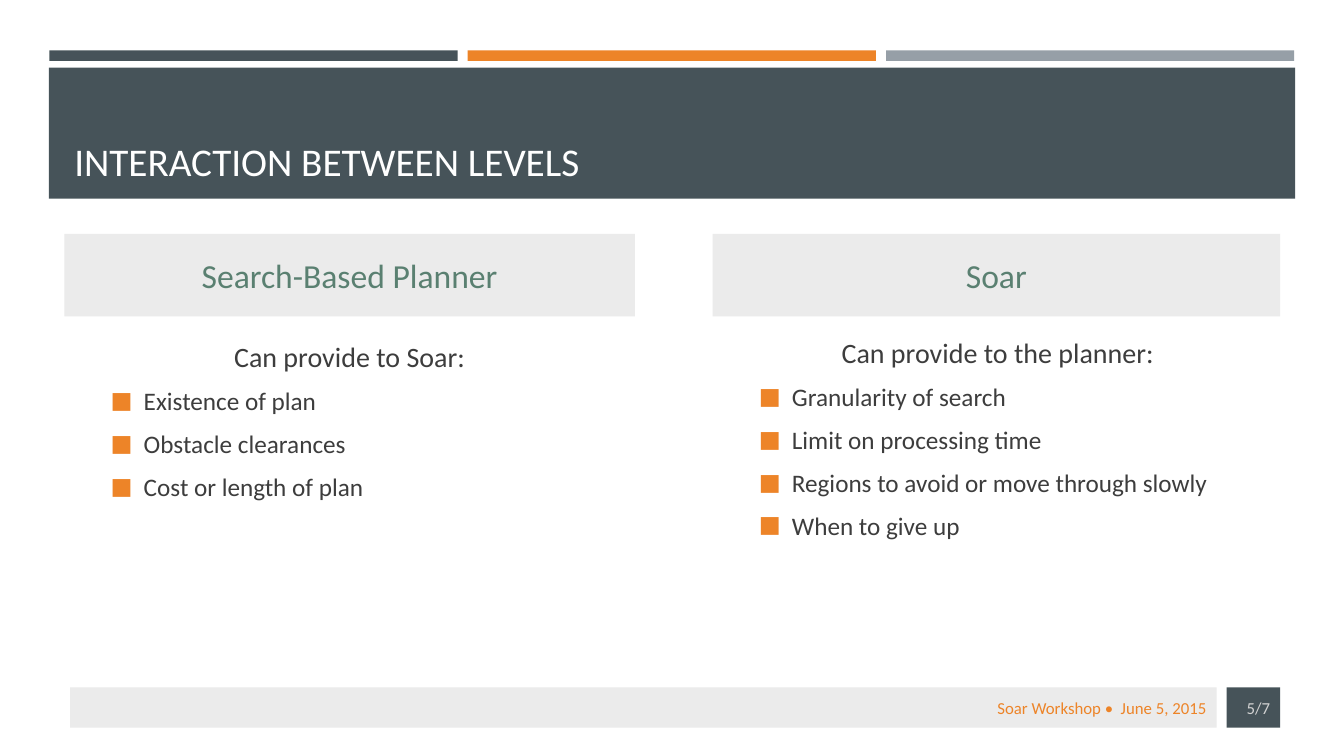
from lxml import etree
from pptx import Presentation
from pptx import util as u
from pptx.dml import color
from pptx.enum import shapes, text
from pptx.oxml import ns

FONT = "Calibri"
SLATE, ORANGE, GREY = "465359", "ED8428", "969FA7"
PALE, GREEN, INK, SILVER, WHITE = "EBEBEB", "5A8071", "3D3D3D", "D3D3D3", "FFFFFF"
LEFT, CENTER, RIGHT = text.PP_ALIGN.LEFT, text.PP_ALIGN.CENTER, text.PP_ALIGN.RIGHT

BAR_LEFT, BAR_PITCH, BAR_WIDTH = 35.28, 298.8, 291.6
FOOTER_TOP, FOOTER_HEIGHT = 491, 28.8
HEADING_TOP, HEADING_HEIGHT = 167, 59
COLUMNS = [
    # left, heading width, list top, heading, lead, points
    (46, 407.5, 238.8, "Search-Based Planner", "Can provide to Soar:",
     ["Existence of plan", "Obstacle clearances", "Cost or length of plan"]),
    (509, 405.4, 235.8, "Soar", "Can provide to the planner:",
     ["Granularity of search", "Limit on processing time",
      "Regions to avoid or move through slowly", "When to give up"]),
]


def rgb(value):
    return color.RGBColor.from_string(value)


def style_paragraph(paragraph, size, ink, align):
    paragraph.alignment = align
    for run in paragraph.runs:
        run.font.name = FONT
        run.font.size = u.Pt(size)
        run.font.color.rgb = rgb(ink)


def add_block(slide, box, fill, words="", size=12, ink=WHITE, align=CENTER):
    """Add a filled rectangle, with one line of text if words are given."""
    shape = slide.shapes.add_shape(
        shapes.MSO_SHAPE.RECTANGLE, *[u.Pt(length) for length in box])
    shape.shadow.inherit = False
    shape.fill.solid()
    shape.fill.fore_color.rgb = rgb(fill)
    shape.line.fill.background()
    if words:
        frame = shape.text_frame
        frame.text = words
        frame.vertical_anchor = text.MSO_ANCHOR.MIDDLE
        style_paragraph(frame.paragraphs[0], size, ink, align)


def add_text_frame(slide, box, anchor):
    shape = slide.shapes.add_textbox(*[u.Pt(length) for length in box])
    shape.text_frame.word_wrap = True
    shape.text_frame.vertical_anchor = anchor
    return shape.text_frame


def add_bullet(paragraph):
    properties = paragraph._p.get_or_add_pPr()
    properties.set("marL", str(u.Pt(49.6)))
    properties.set("indent", str(u.Pt(-23.6)))
    bullet_color = etree.SubElement(properties, ns.qn("a:buClr"))
    etree.SubElement(bullet_color, ns.qn("a:srgbClr"), val=ORANGE)
    etree.SubElement(properties, ns.qn("a:buSzPct"), val="92000")
    etree.SubElement(properties, ns.qn("a:buFont"), typeface=FONT)
    etree.SubElement(properties, ns.qn("a:buChar"), char="■")


def add_list(slide, box, lead, points):
    frame = add_text_frame(slide, box, text.MSO_ANCHOR.TOP)
    frame.text = "\n".join([lead, *points])
    first, *rest = frame.paragraphs
    style_paragraph(first, 20, INK, CENTER)
    first.space_after = u.Pt(6)
    for paragraph in rest:
        add_bullet(paragraph)
        style_paragraph(paragraph, 18, INK, LEFT)
        paragraph.space_before = u.Pt(3)
        paragraph.space_after = u.Pt(6)


def add_header(slide, title):
    for index, fill in enumerate([SLATE, ORANGE, GREY]):
        add_block(slide, (BAR_LEFT + index * BAR_PITCH, 36, BAR_WIDTH, 7.5), fill)
    add_block(slide, (34.9, 48.4, 890.3, 93.6), SLATE)
    frame = add_text_frame(slide, (46, 55.4, 868.3, 80), text.MSO_ANCHOR.BOTTOM)
    frame.text = title
    style_paragraph(frame.paragraphs[0], 28, WHITE, LEFT)


def add_footer(slide, event, page):
    add_block(slide, (50, FOOTER_TOP, 819, FOOTER_HEIGHT), PALE, event,
              ink=ORANGE, align=RIGHT)
    add_block(slide, (876.2, FOOTER_TOP, 38.2, FOOTER_HEIGHT), SLATE, page,
              ink=SILVER, align=RIGHT)


def main():
    presentation = Presentation()
    presentation.slide_width, presentation.slide_height = u.Pt(960), u.Pt(540)
    slide = presentation.slides.add_slide(presentation.slide_layouts[6])
    add_header(slide, "INTERACTION BETWEEN LEVELS")
    for left, width, list_top, heading, lead, points in COLUMNS:
        add_block(slide, (left, HEADING_TOP, width, HEADING_HEIGHT), PALE,
                  heading, 24, GREEN)
        add_list(slide, (left, list_top, 407.5, 220), lead, points)
    add_footer(slide, "Soar Workshop •\u00a0 June 5, 2015".replace("\u00a0", " "), "5/7")
    presentation.save("out.pptx")


if __name__ == "__main__":
    main()
